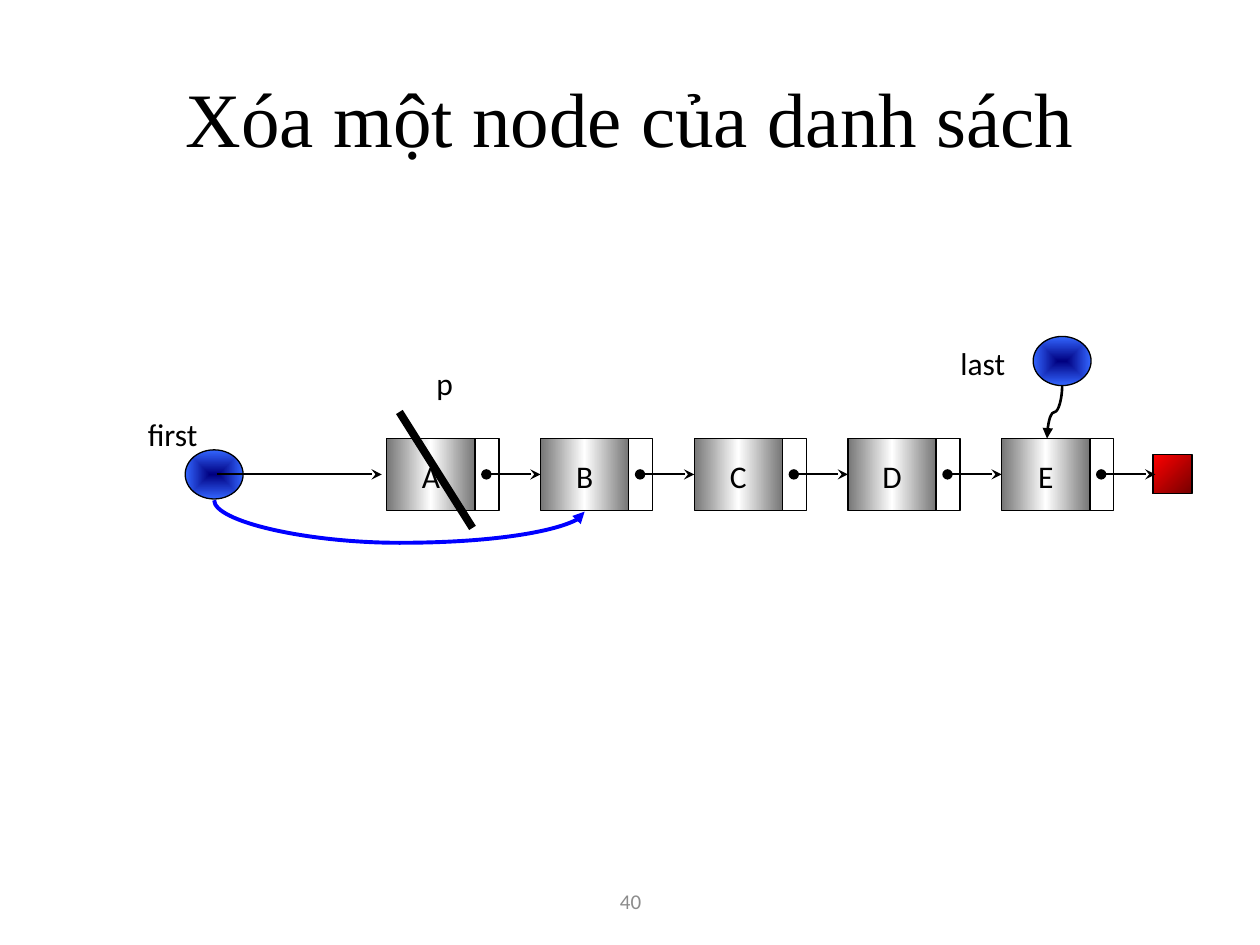
from lxml.etree import SubElement
from pptx import Presentation
from pptx.dml.color import RGBColor
from pptx.enum.shapes import MSO_CONNECTOR as Connector, MSO_SHAPE as Shape
from pptx.enum.text import MSO_ANCHOR as Anchor, PP_ALIGN as Align
from pptx.oxml.ns import qn
from pptx.util import Inches, Pt

COLUMNS, ROWS = 100, 75
WIDTH, HEIGHT = Inches(10), Inches(7.5)

BLACK = RGBColor(0x00, 0x00, 0x00)
WHITE = RGBColor(0xFF, 0xFF, 0xFF)
GRAY = RGBColor(0x8C, 0x8C, 0x8C)
STEEL = RGBColor(0x76, 0x76, 0x76)
NAVY = RGBColor(0x00, 0x00, 0x80)
SKY = RGBColor(0x33, 0x66, 0xFF)
BLUE = RGBColor(0x00, 0x00, 0xFF)
RED = RGBColor(0xFF, 0x00, 0x00)
MAROON = RGBColor(0x76, 0x00, 0x00)

NODE_LEFT, NODE_TOP, NODE_PITCH = 30.7, 34.8, 12.2
DATA_WIDTH, LINK_WIDTH, NODE_HEIGHT = 7, 1.9, 5.7
NODE_MIDDLE = NODE_TOP + NODE_HEIGHT / 2
DOT_OFFSET, ARROW_LENGTH = 7.9, 4.3
POINTER_WIDTH, POINTER_HEIGHT = 4.6, 3.9


def column(value):
    return round(WIDTH * value / COLUMNS)


def row(value):
    return round(HEIGHT * value / ROWS)


def place(left, top, width, height):
    return column(left), row(top), column(width), row(height)


def write_text(shape, text, size=18, font="Calibri", color=BLACK, insets=(0, 0, 0, 0)):
    frame = shape.text_frame
    frame.word_wrap = True
    frame.vertical_anchor = Anchor.MIDDLE
    frame.margin_left, frame.margin_top, frame.margin_right, frame.margin_bottom = map(Inches, insets)
    paragraph = frame.paragraphs[0]
    paragraph.text = text
    paragraph.alignment = Align.CENTER
    paragraph.font.size = Pt(size)
    paragraph.font.name = font
    paragraph.font.color.rgb = color


def add_label(slide, text, box, **text_format):
    write_text(slide.shapes.add_textbox(*place(*box)), text, **text_format)


def add_box(slide, kind, box):
    shape = slide.shapes.add_shape(kind, *place(*box))
    shape.shadow.inherit = False
    shape.fill.solid()
    shape.fill.fore_color.rgb = WHITE
    shape.line.color.rgb = BLACK
    shape.line.width = Pt(0.75)
    return shape


def fill_gradient(shape, colors, angle=None):
    shape.fill.gradient()
    gradient = shape.element.spPr.find(qn("a:gradFill"))
    for child in list(gradient):
        gradient.remove(child)
    stops = SubElement(gradient, qn("a:gsLst"))
    for index, color in enumerate(colors):
        position = 100000 * index // (len(colors) - 1)
        stop = SubElement(stops, qn("a:gs"), pos=str(position))
        SubElement(stop, qn("a:srgbClr"), val=str(color))
    if angle is None:
        route = SubElement(gradient, qn("a:path"), path="shape")
        SubElement(route, qn("a:fillToRect"), l="50000", t="50000", r="50000", b="50000")
    else:
        SubElement(gradient, qn("a:lin"), ang=str(angle * 60000), scaled="1")


def add_line(slide, start, end, width=1.25, color=BLACK, head=None, tail=None, kind=Connector.STRAIGHT):
    connector = slide.shapes.add_connector(
        kind, column(start[0]), row(start[1]), column(end[0]), row(end[1]))
    connector.line.color.rgb = color
    connector.line.width = Pt(width)
    line = connector.line._get_or_add_ln()
    for tag, arrow in (("a:headEnd", head), ("a:tailEnd", tail)):
        if arrow:
            SubElement(line, qn(tag), type=arrow)
    SubElement(connector.element.spPr, qn("a:effectLst"))
    return connector


def add_vertical_curve(slide, start, end, bend, **line_format):
    connector = add_line(slide, start, end, tail="triangle", kind=Connector.CURVE, **line_format)
    center_x = (start[0] + end[0]) / 2
    center_y = (start[1] + end[1]) / 2
    width, height = abs(end[1] - start[1]), abs(end[0] - start[0])
    connector.left, connector.top, connector.width, connector.height = place(
        center_x - width / 2, center_y - height / 2, width, height)
    rightward = end[0] > start[0]
    transform = connector.element.spPr.find(qn("a:xfrm"))
    transform.set("rot", str((270 if rightward else 90) * 60000))
    transform.set("flipH", "1" if rightward else "0")
    transform.set("flipV", "0")
    geometry = connector.element.spPr.find(qn("a:prstGeom"))
    guides = geometry.find(qn("a:avLst"))
    SubElement(guides, qn("a:gd"), name="adj1", fmla=f"val {round(bend * 100000)}")


def add_pointer(slide, left, top):
    pointer = add_box(slide, Shape.OVAL, (left, top, POINTER_WIDTH, POINTER_HEIGHT))
    fill_gradient(pointer, (NAVY, SKY))


def add_node(slide, name, left):
    add_box(slide, Shape.RECTANGLE, (left + DATA_WIDTH, NODE_TOP, LINK_WIDTH, NODE_HEIGHT))
    data = add_box(slide, Shape.RECTANGLE, (left, NODE_TOP, DATA_WIDTH, NODE_HEIGHT))
    fill_gradient(data, (STEEL, WHITE, STEEL), angle=0)
    write_text(data, name, insets=(0, 0.03, 0, 0))
    return data


def add_chain(slide, names):
    lefts = [NODE_LEFT + NODE_PITCH * index for index in range(len(names))]
    nodes = [add_node(slide, name, left) for name, left in zip(names, lefts)]
    for left, target in zip(lefts, nodes[1:] + [None]):
        start = left + DOT_OFFSET
        arrow = add_line(slide, (start, NODE_MIDDLE), (start + ARROW_LENGTH, NODE_MIDDLE),
                         head="oval", tail="stealth")
        if target is not None:
            arrow.end_connect(target, 1)


def main():
    presentation = Presentation()
    presentation.slide_width, presentation.slide_height = WIDTH, HEIGHT
    slide = presentation.slides.add_slide(presentation.slide_layouts[6])

    add_label(slide, "Xóa một node của danh sách", (5, 3, 90, 12.5),
              size=44, font="Times New Roman", insets=(0.1, 0.05, 0.1, 0.05))
    add_label(slide, "40", (34.2, 69.5, 31.7, 4), size=12, color=GRAY)

    add_pointer(slide, 14.7, 35.7)
    end_mark = add_box(slide, Shape.RECTANGLE, (91.5, 36.1, 3.1, 3.1))
    fill_gradient(end_mark, (RED, MAROON), angle=45)
    add_line(slide, (17.2, NODE_MIDDLE), (30.3, NODE_MIDDLE), tail="stealth")
    add_chain(slide, "ABCDE")

    add_vertical_curve(slide, (17, 39.7), (46.4, 40.6), 3.75, width=2.25, color=BLUE)
    add_pointer(slide, 82, 26.7)
    add_vertical_curve(slide, (84.3, 30.6), (83.1, 34.8), 0.5, width=1.5)

    for text, left, top in (("first", 9.2, 32.3), ("last", 73.5, 26.7), ("p", 30.8, 28.3)):
        add_label(slide, text, (left, top, 9, 4.2))
    add_line(slide, (31.7, 32.7), (37.5, 41.9), width=4.5)

    presentation.save("out.pptx")


if __name__ == "__main__":
    main()
